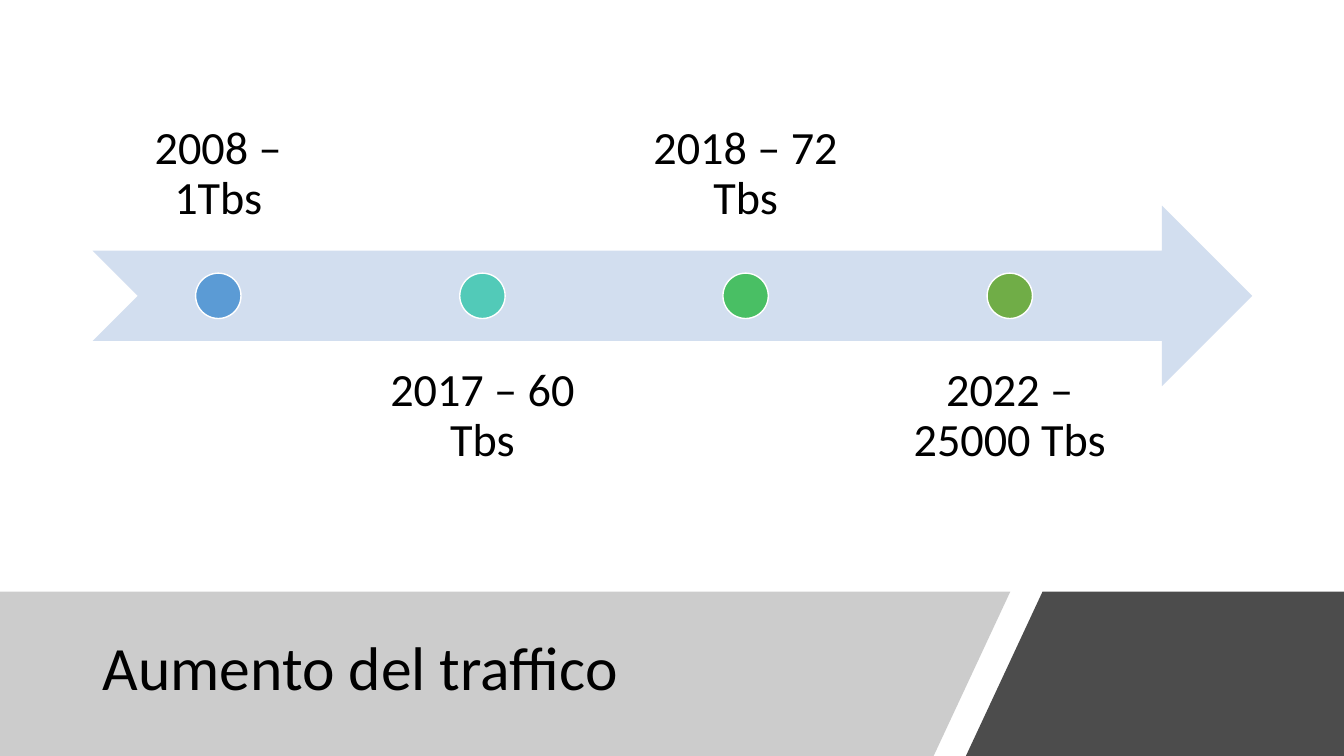
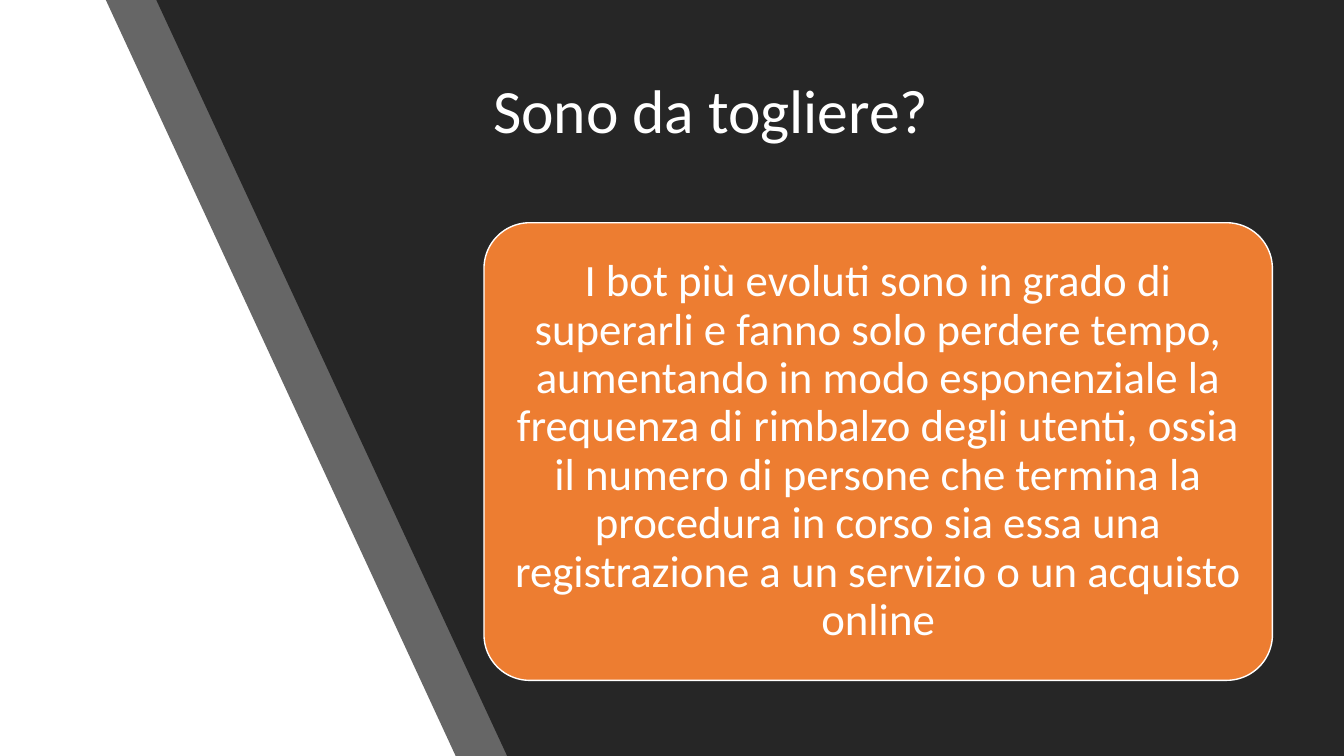
from dataclasses import dataclass
from typing import Any, NamedTuple

from lxml import etree
from pptx import Presentation
from pptx.dml.color import RGBColor
from pptx.enum.shapes import MSO_SHAPE
from pptx.enum.text import MSO_ANCHOR, MSO_AUTO_SIZE, PP_ALIGN
from pptx.oxml.ns import qn
from pptx.shapes.autoshape import Shape
from pptx.slide import Slide
from pptx.util import Emu, Pt

EMU_PER_PX = 9144  # 100 px to the inch
SLIDE_WIDTH, SLIDE_HEIGHT = 1333, 750
TITLE_ONLY = 5

NOTCHED_ARROW = MSO_SHAPE.NOTCHED_RIGHT_ARROW
OVAL = MSO_SHAPE.OVAL
ROUNDED = MSO_SHAPE.ROUNDED_RECTANGLE
TOP, MIDDLE, BOTTOM = MSO_ANCHOR.TOP, MSO_ANCHOR.MIDDLE, MSO_ANCHOR.BOTTOM
LEFT, CENTER = PP_ALIGN.LEFT, PP_ALIGN.CENTER
NO_AUTOFIT = MSO_AUTO_SIZE.NONE

FONT = "Calibri"
BLACK = RGBColor(0x00, 0x00, 0x00)
WHITE = RGBColor(0xFF, 0xFF, 0xFF)
GRAY = RGBColor(0x80, 0x80, 0x80)
CHARCOAL = RGBColor(0x26, 0x26, 0x26)
PALE_BLUE = RGBColor(0xD2, 0xDE, 0xEF)
BLUE = RGBColor(0x5B, 0x9B, 0xD5)
TEAL = RGBColor(0x52, 0xCA, 0xB8)
GREEN = RGBColor(0x49, 0xBF, 0x64)
OLIVE = RGBColor(0x70, 0xAD, 0x47)
ORANGE = RGBColor(0xED, 0x7D, 0x31)


class Box(NamedTuple):
    left: int
    top: int
    width: int
    height: int


@dataclass(frozen=True)
class Band:
    corners: tuple[tuple[int, int], ...]
    color: RGBColor
    opacity: int = 100


@dataclass(frozen=True)
class TextStyle:
    size: int
    color: RGBColor
    align: PP_ALIGN = CENTER
    anchor: MSO_ANCHOR = MIDDLE
    inset: int = 10


@dataclass(frozen=True)
class Milestone:
    label: str
    color: RGBColor


TRAFFIC_BANDS = (
    Band(((0, 587), (1002, 587), (926, 750), (0, 750)), GRAY, 40),
    Band(((1034, 587), (1333, 587), (1333, 750), (958, 750)), BLACK, 70),
)
CAPTCHA_BANDS = (
    Band(((1332, 750), (452, 750), (105, 0), (1332, 0)), CHARCOAL, 70),
    Band(((1333, 750), (503, 750), (155, 0), (1333, 0)), CHARCOAL),
)
MILESTONES = (
    Milestone("2008 – 1Tbs", BLUE),
    Milestone("2017 – 60 Tbs", TEAL),
    Milestone("2018 – 72 Tbs", GREEN),
    Milestone("2022 – 25000 Tbs", OLIVE),
)
ARROW = Box(92, 204, 1150, 179)
LABEL_WIDTH, LABEL_HEIGHT = 249, 179
LABEL_TOP_ABOVE, LABEL_TOP_BELOW = 70, 338
DOT = 45
BOT_ANSWER = (
    "I bot più evoluti sono in grado di superarli e fanno solo perdere tempo, "
    "aumentando in modo esponenziale la frequenza di rimbalzo degli utenti, "
    "ossia il numero di persone che termina la procedura in corso sia essa una "
    "registrazione a un servizio o un acquisto online"
)


def px(length: int) -> Emu:
    return Emu(length * EMU_PER_PX)


def emu(box: Box) -> tuple[Emu, ...]:
    return tuple(px(length) for length in box)


def apply_format(target: Any, values: dict[str, Any]) -> None:
    for name, value in values.items():
        setattr(target, name, value)


def write_text(shape: Shape, text: str, style: TextStyle) -> None:
    frame = shape.text_frame
    frame.text = text
    inset = px(style.inset)
    sides = ("margin_left", "margin_top", "margin_right", "margin_bottom")
    apply_format(frame, {
        "word_wrap": True,
        "auto_size": NO_AUTOFIT,
        "vertical_anchor": style.anchor,
        **{side: inset for side in sides},
    })
    paragraph = frame.paragraphs[0]
    apply_format(paragraph, {"alignment": style.align, "line_spacing": 0.9})
    font = paragraph.runs[0].font
    apply_format(font, {"name": FONT, "size": Pt(style.size)})
    font.color.rgb = style.color


def paint(shape: Shape, fill: RGBColor, outline: RGBColor | None = None) -> None:
    shape.shadow.inherit = False
    shape.fill.solid()
    shape.fill.fore_color.rgb = fill
    if outline is None:
        shape.line.fill.background()
    else:
        shape.line.color.rgb = outline
        shape.line.width = Pt(1)


def add_filled(slide: Slide, kind: MSO_SHAPE, box: Box, fill: RGBColor,
               outline: RGBColor | None = None) -> Shape:
    shape = slide.shapes.add_shape(kind, *emu(box))
    paint(shape, fill, outline)
    return shape


def add_band(slide: Slide, band: Band) -> None:
    start, *rest = band.corners
    builder = slide.shapes.build_freeform(*start, scale=EMU_PER_PX)
    builder.add_line_segments(rest, close=True)
    shape = builder.convert_to_shape()
    paint(shape, band.color)
    if band.opacity < 100:
        color = shape.element.spPr.find(f"{qn('a:solidFill')}/{qn('a:srgbClr')}")
        etree.SubElement(color, qn("a:alpha"), val=str(band.opacity * 1000))


def add_banded_slide(deck: Any, bands: tuple[Band, ...], heading: str,
                     box: Box, color: RGBColor) -> Slide:
    """Add a slide with its slanted bands and the title in front of them."""
    slide = deck.slides.add_slide(deck.slide_layouts[TITLE_ONLY])
    slide.background.fill.solid()
    slide.background.fill.fore_color.rgb = WHITE
    for band in bands:
        add_band(slide, band)
    title = slide.shapes.title
    apply_format(title, dict(zip(("left", "top", "width", "height"), emu(box))))
    write_text(title, heading, TextStyle(44, color, LEFT))
    slide.shapes.element.append(title.element)
    return slide


def add_timeline(slide: Slide) -> None:
    """Draw the arrow with labels alternating above and below it."""
    add_filled(slide, NOTCHED_ARROW, ARROW, PALE_BLUE)
    dot_top = ARROW.top + (ARROW.height - DOT) // 2
    for index, milestone in enumerate(MILESTONES):
        left = ARROW.left + round(index * 785 / 3)
        above = index % 2 == 0
        top = LABEL_TOP_ABOVE if above else LABEL_TOP_BELOW
        label = slide.shapes.add_textbox(
            *emu(Box(left, top, LABEL_WIDTH, LABEL_HEIGHT)))
        anchor = BOTTOM if above else TOP
        write_text(label, milestone.label,
                   TextStyle(33, BLACK, anchor=anchor, inset=26))
        dot_left = left + (LABEL_WIDTH - DOT) // 2
        add_filled(slide, OVAL, Box(dot_left, dot_top, DOT, DOT),
                   milestone.color, WHITE)


def main() -> None:
    deck = Presentation()
    deck.slide_width, deck.slide_height = px(SLIDE_WIDTH), px(SLIDE_HEIGHT)

    traffic = add_banded_slide(deck, TRAFFIC_BANDS, "Aumento del traffico",
                               Box(92, 605, 844, 120), BLACK)
    add_timeline(traffic)

    captcha = add_banded_slide(deck, CAPTCHA_BANDS, "Sono da togliere?",
                               Box(479, 40, 784, 145), WHITE)
    answer = add_filled(captcha, ROUNDED, Box(480, 221, 782, 454), ORANGE, WHITE)
    answer.adjustments[0] = 0.1
    write_text(answer, BOT_ANSWER, TextStyle(32, WHITE, inset=13))

    deck.save("out.pptx")


if __name__ == "__main__":
    main()
